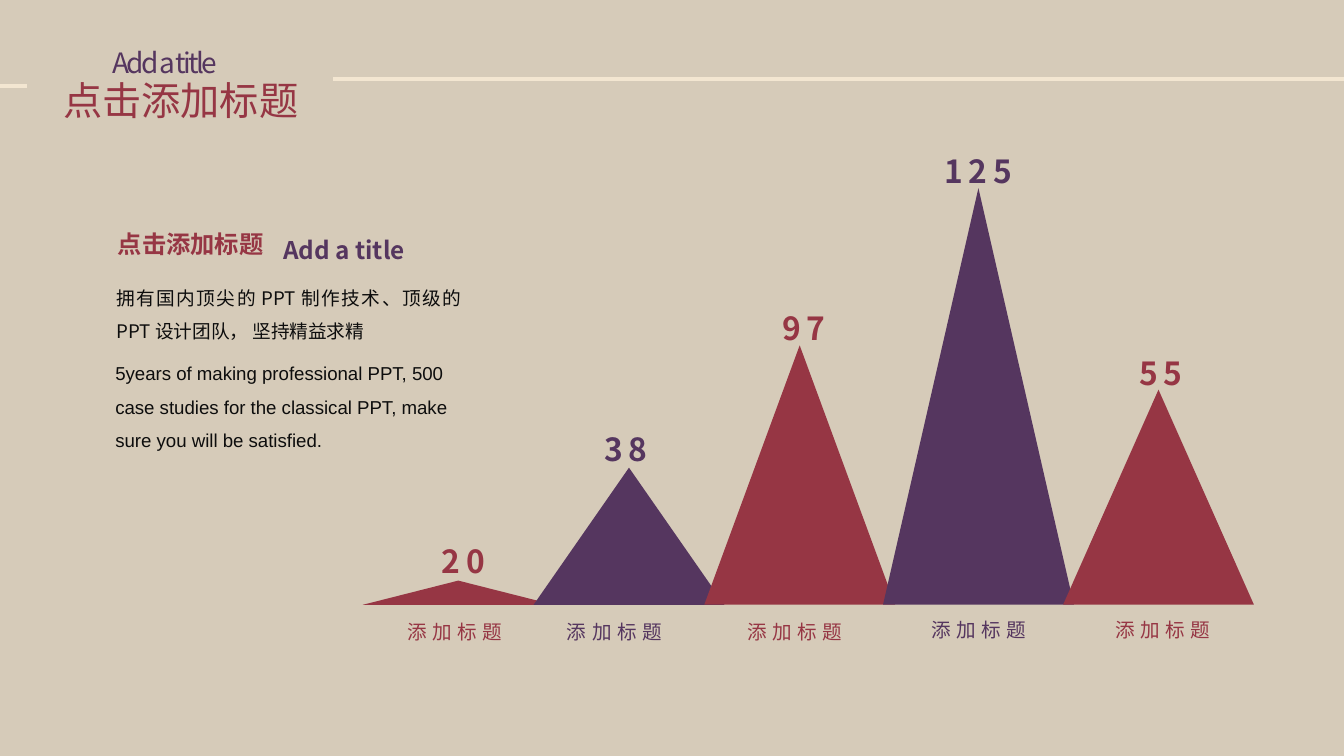
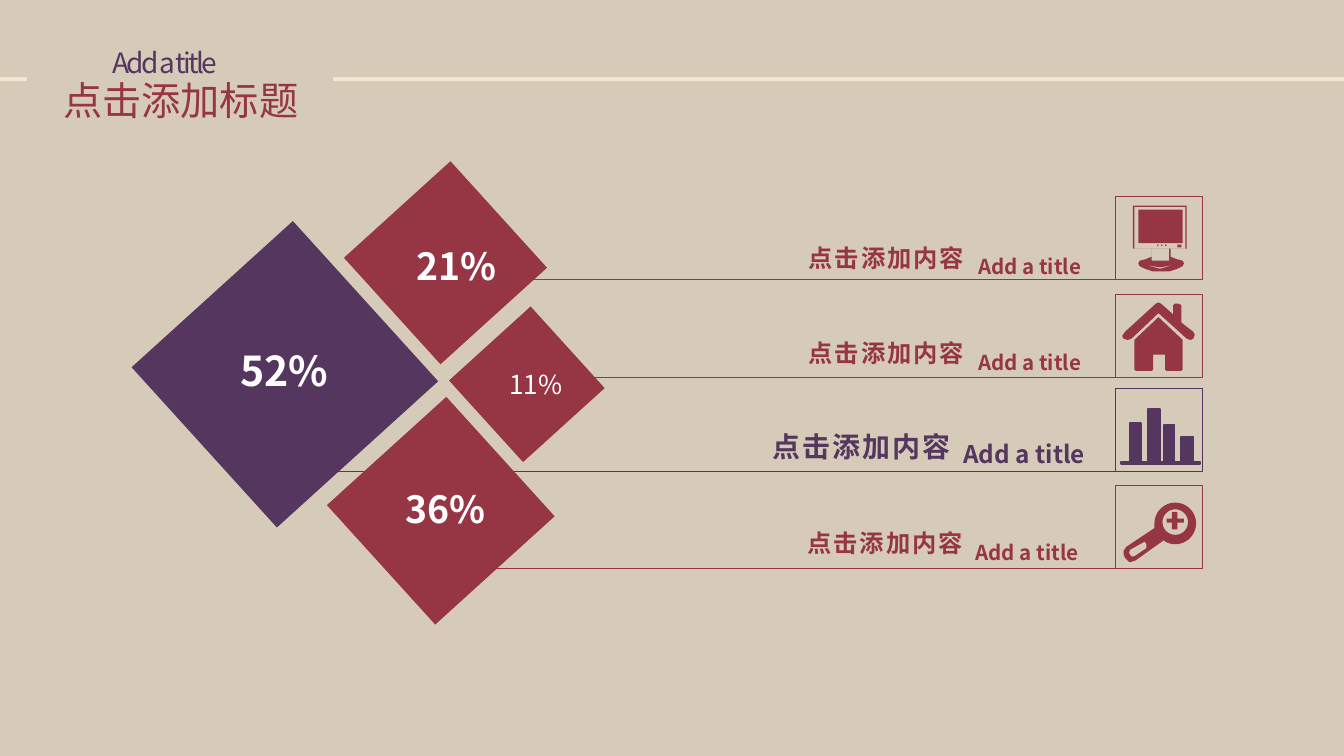
"""Build two infographic slides: a peak comparison and a diamond breakdown."""
from dataclasses import dataclass
from math import cos, radians, sin
from typing import NamedTuple, Optional

from lxml import etree
from pptx import Presentation
from pptx.dml.color import RGBColor
from pptx.enum.shapes import MSO_CONNECTOR, MSO_SHAPE
from pptx.enum.text import MSO_ANCHOR, MSO_AUTO_SIZE, PP_ALIGN
from pptx.oxml.ns import qn
from pptx.util import Emu, Pt

RECTANGLE = MSO_SHAPE.RECTANGLE
STRAIGHT = MSO_CONNECTOR.STRAIGHT
TOP = MSO_ANCHOR.TOP
GROW, FIXED = MSO_AUTO_SIZE.SHAPE_TO_FIT_TEXT, MSO_AUTO_SIZE.NONE
LEFT, CENTER, JUSTIFY = PP_ALIGN.LEFT, PP_ALIGN.CENTER, PP_ALIGN.JUSTIFY

EMU_PER_PX = 9144
SLIDE_WIDTH = 1000
TITLE_ONLY = 5
Points = list[tuple[float, float]]


@dataclass(frozen=True)
class Theme:
    """Colours, fonts and type sizes of the deck."""
    background: str = "D6CBB9"
    band: str = "F3E6D1"
    red: str = "963644"
    purple: str = "55365F"
    ink: str = "0D0D0D"
    white: str = "FFFFFF"
    font: str = "Noto Sans CJK SC"
    body_font: str = "Arial"
    title: float = 21
    subtitle: float = 15
    value: float = 17
    heading: float = 13
    caption: float = 10.5
    body: float = 10
    small: float = 11
    share: float = 20
    large_share: float = 22
    small_share: float = 14


THEME = Theme()


class Box(NamedTuple):
    """Place and size in px."""
    left: int
    top: int
    width: int
    height: int


@dataclass(frozen=True)
class Style:
    """Type style of one text box."""
    size: float
    color: str
    bold: bool = False
    align: PP_ALIGN = LEFT
    tracking: float = 0
    line_spacing: float = 1
    wrap: bool = True
    grow: bool = True
    font: str = THEME.font


class Peak(NamedTuple):
    """One triangle with its value and caption."""
    value: str
    color: str
    left: int
    top: int
    value_box: Box
    caption_box: Box


class Diamond(NamedTuple):
    """One rotated square with its share."""
    share: str
    color: str
    square: Box
    label: Box
    style: Style


class Row(NamedTuple):
    """One ruled row with two labels and an icon frame."""
    color: str
    line_left: int
    line_top: int
    chinese: Box
    english: Box
    chinese_size: float
    english_size: float


def px(length: float) -> Emu:
    """Turn px into EMU."""
    return Emu(round(length * EMU_PER_PX))


def rgb(color: str) -> RGBColor:
    """Turn a hex string into a colour."""
    return RGBColor.from_string(color)


def write(shape, text: str, style: Style) -> None:
    """Fill a shape with one styled paragraph."""
    frame = shape.text_frame
    frame.text = text
    frame.word_wrap = style.wrap
    frame.auto_size = GROW if style.grow else FIXED
    frame.vertical_anchor = TOP
    paragraph = frame.paragraphs[0]
    paragraph.alignment = style.align
    paragraph.line_spacing = style.line_spacing
    run = paragraph.runs[0]
    run.font.size = Pt(style.size)
    run.font.bold = style.bold
    run.font.color.rgb = rgb(style.color)
    run.font.name = style.font
    properties = run.font._element
    etree.SubElement(properties, qn("a:ea")).set("typeface", style.font)
    if style.tracking:
        properties.set("spc", str(round(style.tracking * 100)))


def add_text(slide, box: Box, text: str, style: Style) -> None:
    """Add a text box."""
    write(slide.shapes.add_textbox(*map(px, box)), text, style)


def add_line(slide, left: int, right: int, top: int, color: str, width: float) -> None:
    """Add a horizontal line."""
    line = slide.shapes.add_connector(STRAIGHT, px(left), px(top), px(right), px(top))
    line.line.color.rgb = rgb(color)
    line.line.width = Pt(width)
    etree.SubElement(line._element.spPr, qn("a:effectLst"))


def paint(shape, fill: Optional[str], outline: Optional[str] = None, width: float = 1) -> None:
    """Set fill and outline, where None means empty."""
    shape.shadow.inherit = False
    if fill:
        shape.fill.solid()
        shape.fill.fore_color.rgb = rgb(fill)
    else:
        shape.fill.background()
    if outline:
        shape.line.color.rgb = rgb(outline)
        shape.line.width = Pt(width)
    else:
        shape.line.fill.background()


def add_rectangle(slide, box: Box, fill: Optional[str], outline: Optional[str] = None,
                  width: float = 1, rotation: float = 0) -> None:
    """Add a rectangle."""
    shape = slide.shapes.add_shape(RECTANGLE, *map(px, box))
    shape.rotation = rotation
    paint(shape, fill, outline, width)


def add_outline(slide, contours: list[Points], fill: str, outline: Optional[str] = None) -> None:
    """Add one freeform of closed contours."""
    scaled = [[(px(x), px(y)) for x, y in contour] for contour in contours]
    builder = slide.shapes.build_freeform(*scaled[0][0], scale=1.0)
    for index, contour in enumerate(scaled):
        if index:
            builder.move_to(*contour[0])
        builder.add_line_segments(contour[1:], close=True)
    paint(builder.convert_to_shape(), fill, outline)


def corners(left: int, top: int, right: int, bottom: int) -> Points:
    """Return the corners of an upright rectangle."""
    return [(left, top), (right, top), (right, bottom), (left, bottom)]


def arc(x: float, y: float, radius: float, start: int, end: int) -> Points:
    """Return points along an arc, angles in degrees."""
    step = 10 if end > start else -10
    return [(x + radius * cos(radians(a)), y + radius * sin(radians(a)))
            for a in range(start, end, step)]


def add_titled_slide(presentation, left_band_top: int):
    """Add a slide with title, subtitle and bands."""
    slide = presentation.slides.add_slide(presentation.slide_layouts[TITLE_ONLY])
    title = slide.shapes.title
    title.left, title.top, title.width, title.height = map(px, Box(37, 52, 207, 45))
    write(title, "点击添加标题", Style(THEME.title, THEME.red, align=JUSTIFY))
    add_text(slide, Box(74, 29, 167, 35), "Add a title",
             Style(THEME.subtitle, THEME.purple, align=JUSTIFY, tracking=-1.5))
    add_line(slide, 248, 1004, 59, THEME.band, 2.25)
    add_line(slide, -30, 20, left_band_top, THEME.band, 2.25)
    return slide


def add_peak(slide, peak: Peak) -> None:
    """Draw a triangle on the baseline with its labels."""
    base, width = 450, 142
    add_outline(slide, [[(peak.left + width / 2, peak.top), (peak.left + width, base),
                         (peak.left, base)]], peak.color)
    add_text(slide, peak.value_box, peak.value,
             Style(THEME.value, peak.color, bold=True, tracking=3, wrap=False))
    add_text(slide, peak.caption_box, "添加标题",
             Style(THEME.caption, peak.color, tracking=3, wrap=False))


def build_peaks(presentation) -> None:
    """Build the slide of five peaks."""
    slide = add_titled_slide(presentation, 64)
    red, purple = THEME.red, THEME.purple
    for peak in (
        Peak("20", red, 270, 432, Box(319, 398, 58, 39), Box(293, 456, 98, 29)),
        Peak("38", purple, 397, 348, Box(440, 315, 58, 39), Box(412, 456, 98, 29)),
        Peak("97", red, 524, 257, Box(572, 225, 58, 39), Box(546, 456, 98, 29)),
        Peak("125", purple, 657, 140, Box(693, 108, 77, 39), Box(683, 455, 98, 28)),
        Peak("55", red, 791, 290, Box(838, 258, 58, 39), Box(820, 455, 98, 29)),
    ):
        add_peak(slide, peak)
    add_text(slide, Box(77, 200, 279, 61), "拥有国内顶尖的PPT制作技术、顶级的PPT设计团队， 坚持精益求精",
             Style(THEME.body, THEME.ink, align=JUSTIFY, line_spacing=1.5))
    add_text(slide, Box(78, 155, 136, 43), "点击添加标题",
             Style(THEME.heading, red, bold=True, align=JUSTIFY, line_spacing=1.5))
    add_text(slide, Box(76, 256, 296, 86),
             "5years of making professional PPT, 500 case studies for the classical PPT, "
             "make sure you will be satisfied.",
             Style(THEME.body, THEME.ink, line_spacing=1.5, font=THEME.body_font))
    add_text(slide, Box(201, 159, 118, 39), "Add a title",
             Style(THEME.heading, purple, bold=True, align=JUSTIFY, line_spacing=1.5))


def add_icons(slide) -> None:
    """Draw the monitor, house, bars and magnifier."""
    monitor = [
        [(843, 153), (843, 185), (857, 185), (857, 191), (852, 193), (848, 194), (847, 196),
         (848, 198), (852, 200), (858, 202), (864, 202), (870, 202), (876, 200), (880, 198),
         (881, 196), (880, 194), (876, 193), (871, 191), (871, 185), (883, 185), (883, 153)],
        corners(844, 154, 882, 185), corners(857, 185, 870, 194), corners(847, 156, 880, 181),
        [(852, 197), (863, 199), (874, 197), (863, 200)], corners(876, 182, 879, 184),
    ] + [corners(left, 182, left + 1, 183) for left in (861, 864, 867)]
    roof = [(888, 247), (879, 240), (879, 227), (877, 226), (874, 226), (873, 227), (873, 234),
            (864, 226), (862, 225), (860, 226), (837, 247), (835, 250), (836, 252), (839, 253),
            (842, 252), (862, 233), (883, 252), (886, 253), (888, 252), (889, 249)]
    walls = [(844, 253), (844, 275), (845, 276), (857, 276), (858, 275), (858, 264), (867, 264),
             (867, 275), (868, 276), (879, 276), (880, 275), (880, 253), (862, 236)]
    plus = [(881, 386), (876, 386), (876, 381), (872, 381), (872, 386), (868, 386),
            (868, 389), (872, 389), (872, 394), (876, 394), (876, 389), (881, 389)]
    magnifier = [
        [(859, 393), (838, 407), (836, 410), (836, 412), (837, 415), (840, 418), (842, 418),
         (845, 417), (866, 402)] + arc(874.5, 389.5, 15.5, 120, -190),
        [(853, 408), (844, 414), (842, 414), (841, 413), (840, 411), (841, 409), (850, 404),
         (852, 403), (853, 405)],
        arc(874.5, 388.5, 9.5, 0, 360),
    ]
    for contours in (monitor, [roof], [walls], [plus], magnifier):
        add_outline(slide, contours, THEME.red)
    add_outline(slide, [corners(834, 344, 893, 345)], THEME.purple, THEME.purple)
    for left, top, width in ((841, 315, 8), (854, 304, 9), (866, 316, 8), (879, 325, 9)):
        add_rectangle(slide, Box(left, top, width, 343 - top), THEME.purple, THEME.purple)


def build_diamonds(presentation) -> None:
    """Build the slide of four diamonds and ruled rows."""
    slide = add_titled_slide(presentation, 59)
    red, purple = THEME.red, THEME.purple
    rows = (
        Row(red, 351, 208, Box(590, 176, 139, 32), Box(718, 175, 103, 35),
            THEME.heading, THEME.small),
        Row(red, 382, 281, Box(590, 247, 139, 32), Box(718, 246, 103, 35),
            THEME.heading, THEME.small),
        Row(purple, 242, 351, Box(563, 315, 156, 35), Box(707, 311, 118, 39),
            THEME.subtitle, THEME.heading),
        Row(red, 348, 423, Box(589, 388, 139, 32), Box(716, 388, 103, 35),
            THEME.heading, THEME.small),
    )
    for row in rows:
        add_line(slide, row.line_left, 830, row.line_top, row.color, 0.25)
    share = Style(THEME.share, THEME.white, bold=True, align=CENTER, wrap=False)
    large = Style(THEME.large_share, THEME.white, bold=True, align=CENTER, wrap=False)
    small = Style(THEME.small_share, THEME.white, grow=False)
    for diamond in (
        Diamond("36%", red, Box(268, 320, 120, 120), Box(291, 357, 81, 44), share),
        Diamond("52%", purple, Box(131, 198, 162, 161), Box(168, 252, 87, 47), large),
        Diamond("21%", red, Box(278, 142, 107, 107), Box(299, 176, 81, 44), share),
        Diamond("11%", red, Box(351, 245, 82, 82), Box(369, 269, 71, 38), small),
    ):
        add_rectangle(slide, diamond.square, diamond.color, rotation=317.8)
        add_text(slide, diamond.label, diamond.share, diamond.style)
    add_icons(slide)
    for row in rows:
        add_rectangle(slide, Box(830, row.line_top - 62, 65, 62), None, row.color, 0.5)
        add_text(slide, row.chinese, "点击添加内容",
                 Style(row.chinese_size, row.color, bold=True, align=CENTER,
                       tracking=1.1, wrap=False))
        add_text(slide, row.english, "Add a title",
                 Style(row.english_size, row.color, bold=True, align=JUSTIFY, line_spacing=1.5))


def main() -> None:
    """Build and save the deck."""
    presentation = Presentation()
    presentation.slide_width = px(SLIDE_WIDTH)
    presentation.slide_height = px(SLIDE_WIDTH * 9 / 16)
    background = presentation.slide_master.background.fill
    background.solid()
    background.fore_color.rgb = rgb(THEME.background)
    build_peaks(presentation)
    build_diamonds(presentation)
    presentation.save("out.pptx")


if __name__ == "__main__":
    main()
